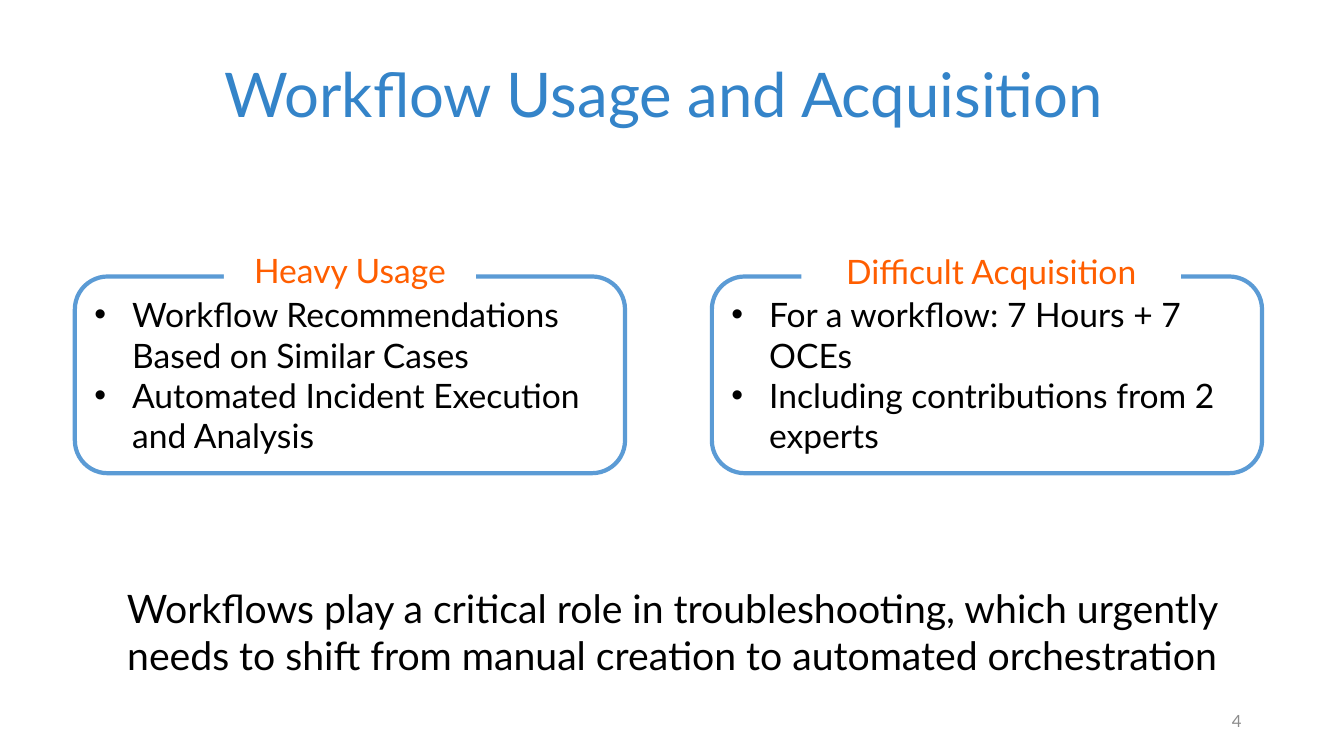
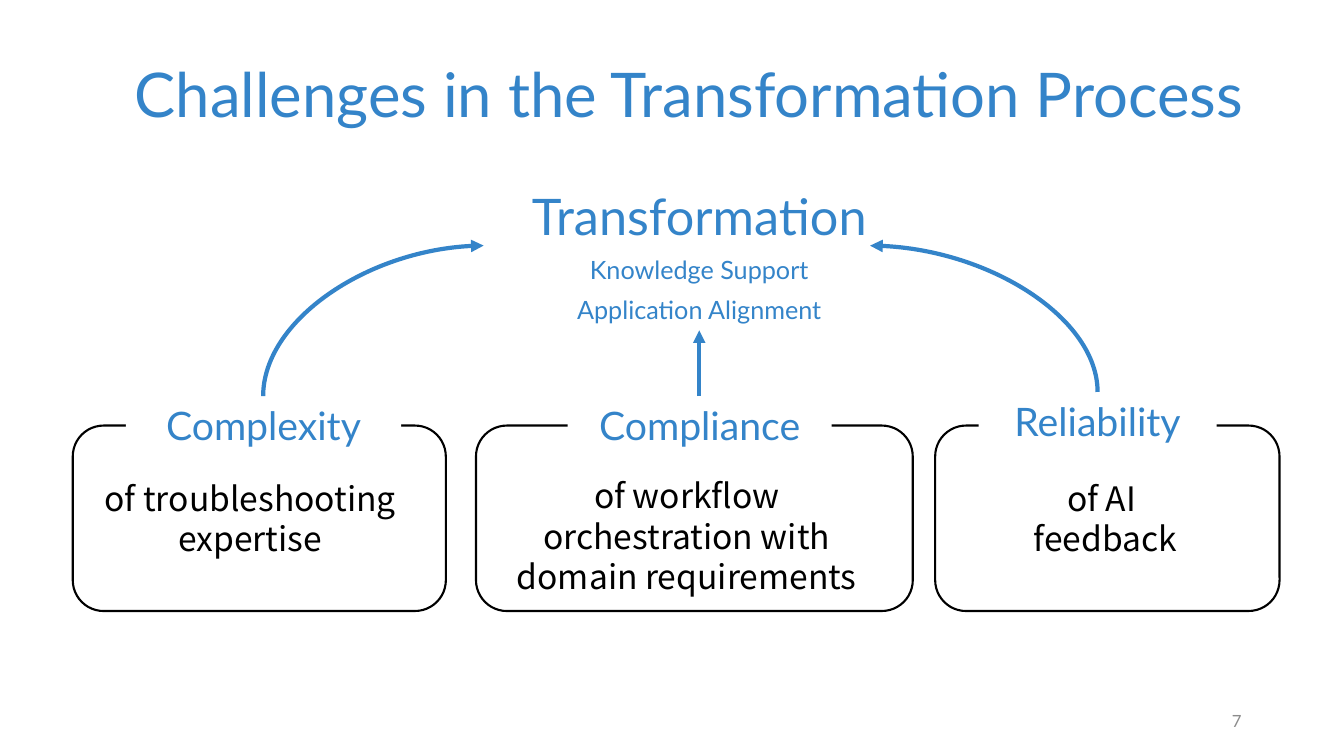
import itertools

import pptx
import pptx.dml.color
import pptx.enum.shapes
import pptx.enum.text
import pptx.oxml
import pptx.oxml.ns
import pptx.util

Pt = pptx.util.Pt
qn = pptx.oxml.ns.qn
SHAPE = pptx.enum.shapes.MSO_SHAPE
CONNECTOR = pptx.enum.shapes.MSO_CONNECTOR
ALIGN = pptx.enum.text.PP_ALIGN
ANCHOR = pptx.enum.text.MSO_ANCHOR

BLUE, PANEL_BLUE, ORANGE = "3484C9", "5B9BD5", "FF5E00"
BLACK, WHITE, GRAY = "000000", "FFFFFF", "8C8C8C"
BODY_FONT = "Noto Sans CJK SC"
TITLE_TOP, TITLE_WIDTH, TITLE_HEIGHT = 17.5, 828, 104.5


def color(value):
    return pptx.dml.color.RGBColor.from_string(value)


def write(slide, lines, left, top, width, height, preset=None, fill=None, line=None,
          line_width=1, sizes=(24,), font="Lato", text_color=BLACK, align=ALIGN.CENTER,
          anchor=ANCHOR.TOP, spacing=None, bullet=False):
    place = Pt(left), Pt(top), Pt(width), Pt(height)
    if preset is None:
        shape = slide.shapes.add_textbox(*place)
    else:
        shape = slide.shapes.add_shape(preset, *place)
        shape.shadow.inherit = False
        if fill:
            shape.fill.solid()
            shape.fill.fore_color.rgb = color(fill)
        else:
            shape.fill.background()
        if line:
            shape.line.color.rgb = color(line)
            shape.line.width = Pt(line_width)
        else:
            shape.line.fill.background()
    frame = shape.text_frame
    frame.word_wrap = True
    frame.vertical_anchor = anchor
    for index, (text, size) in enumerate(zip(lines, itertools.cycle(sizes))):
        paragraph = frame.add_paragraph() if index else frame.paragraphs[0]
        if bullet:
            properties = paragraph._p.get_or_add_pPr()
            properties.set("marL", str(Pt(27)))
            properties.set("indent", str(-Pt(27)))
            for tag, name, value in (("a:buFont", "typeface", "Arial"), ("a:buChar", "char", "•")):
                pptx.oxml.xmlchemy.OxmlElement
                element = properties.makeelement(qn(tag), {name: value})
                properties.append(element)
        paragraph.alignment = align
        if spacing:
            paragraph.line_spacing = spacing
        run = paragraph.add_run()
        run.text = text
        run.font.size = Pt(size)
        run.font.name = font
        run.font.color.rgb = color(text_color)


presentation = pptx.Presentation()
presentation.slide_width = Pt(960)
presentation.slide_height = Pt(540)

slides = []
for title, title_left, number in (
    ("Workflow Usage and Acquisition ", 66, "4"),
    ("Challenges in the Transformation Process", 78.5, "7"),
):
    slide = presentation.slides.add_slide(presentation.slide_layouts[6])
    write(slide, [title], title_left, TITLE_TOP, TITLE_WIDTH, TITLE_HEIGHT, sizes=[44],
          text_color=BLUE, anchor=ANCHOR.MIDDLE, spacing=0.9)
    write(slide, [number], 678, 500.5, 216, 29, sizes=[12], text_color=GRAY,
          align=ALIGN.RIGHT, anchor=ANCHOR.MIDDLE)
    slides.append(slide)
usage_slide, challenge_slide = slides

write(usage_slide,
      ["Workflows play a critical role in troubleshooting, which urgently needs to shift "
       "from manual creation to automated orchestration"],
      57, 414, 846, 75, sizes=[28])
for panel_left, heading, heading_left, heading_top, heading_width, points in (
    (53.5, "Heavy Usage", 160, 175, 180,
     ["Workflow Recommendations Based on Similar Cases",
      "Automated Incident Execution and Analysis"]),
    (508.5, "Difficult Acquisition", 572.5, 175.5, 271,
     ["For a workflow: 7 Hours + 7 OCEs",
      "Including contributions from 2 experts"]),
):
    write(usage_slide, points, panel_left, 197.5, 393, 140.5, preset=SHAPE.ROUNDED_RECTANGLE,
          line=PANEL_BLUE, line_width=3, align=ALIGN.LEFT, anchor=ANCHOR.MIDDLE, bullet=True)
    write(usage_slide, [heading], heading_left, heading_top, heading_width, 36,
          preset=SHAPE.RECTANGLE, fill=WHITE, text_color=ORANGE)

write(challenge_slide, ["Transformation", "Knowledge Support", "Application Alignment"],
      345.5, 115, 308, 121, preset=SHAPE.RECTANGLE, fill=WHITE, line=WHITE,
      sizes=[36, 18, 18], text_color=BLUE, anchor=ANCHOR.MIDDLE, spacing=1.3)
for box_left, box_width, heading, heading_place, lines, text_place in (
    (52, 266.5, "Complexity", (90, 283, 196.5, 34),
     ["of troubleshooting expertise"], (62.5, 337.5, 232.5, 65.5)),
    (340, 312, "Compliance", (405.5, 283, 188.5, 41),
     ["of workflow orchestration with domain requirements"], (345, 336, 291, 65.5)),
    (668, 246, "Reliability", (699, 280, 170, 41),
     ["of AI ", "feedback"], (674, 337.5, 231, 65.5)),
):
    write(challenge_slide, [], box_left, 304, box_width, 132.5,
          preset=SHAPE.ROUNDED_RECTANGLE, line=BLACK, line_width=1.5)
    write(challenge_slide, [heading], *heading_place, preset=SHAPE.RECTANGLE, fill=WHITE,
          sizes=[28], text_color=BLUE)
    write(challenge_slide, lines, *text_place, font=BODY_FONT)

for start_x, start_y, end_x, end_y, turn in (
    (188, 283, 345.5, 175.5, 90),
    (784, 280, 621.5, 175.5, 270),
    (499.5, 283, 499.5, 236, 0),
):
    kind = CONNECTOR.STRAIGHT
    begin_x, begin_y, finish_x, finish_y = start_x, start_y, end_x, end_y
    if turn:
        kind = CONNECTOR.CURVE
        center_x, center_y = (start_x + end_x) / 2, (start_y + end_y) / 2
        half_width = (start_y - end_y) / 2 * (1 if turn == 90 else -1)
        half_height = abs(end_x - start_x) / 2
        begin_x, finish_x = center_x + half_width, center_x - half_width
        begin_y, finish_y = center_y + half_height, center_y - half_height
    arrow = challenge_slide.shapes.add_connector(
        kind, Pt(begin_x), Pt(begin_y), Pt(finish_x), Pt(finish_y))
    arrow.line.color.rgb = color(BLUE)
    arrow.line.width = Pt(3)
    properties = arrow._element.spPr
    if turn:
        properties.find(qn("a:xfrm")).set("rot", str(turn * 60000))
        properties.find(qn("a:prstGeom")).set("prst", "curvedConnector2")
    outline = arrow.line._get_or_add_ln()
    outline.append(outline.makeelement(qn("a:tailEnd"), {"type": "triangle"}))
    properties.append(properties.makeelement(qn("a:effectLst"), {}))

presentation.save("out.pptx")
